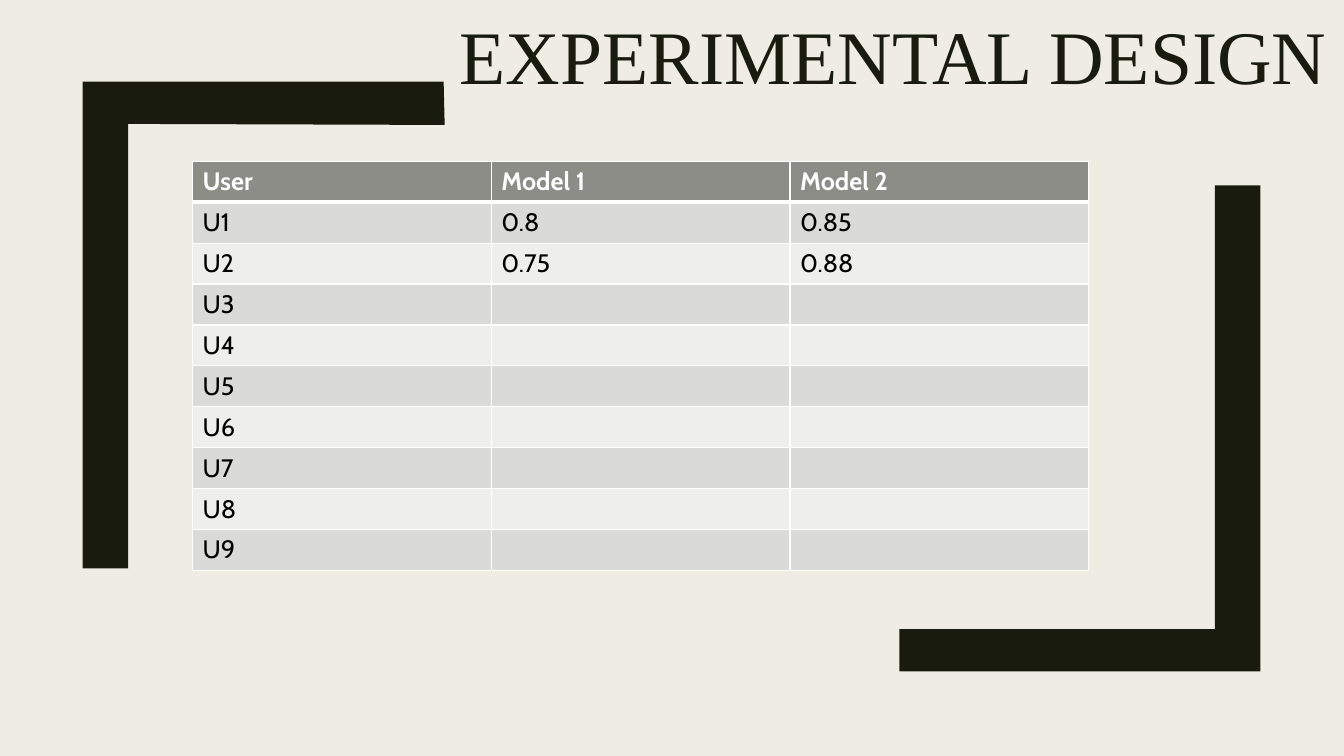
from lxml.etree import SubElement
from pptx import Presentation
from pptx.dml.color import RGBColor
from pptx.enum.text import MSO_ANCHOR, MSO_AUTO_SIZE, PP_ALIGN
from pptx.oxml.ns import qn
from pptx.util import Inches, Pt

COLORS = {
    "background": "EFEDE3",
    "dark": "191B0E",
    "header": "8C8D86",
    "odd_row": "DADBD9",
    "even_row": "EEEEED",
    "white": "FFFFFF",
    "black": "000000",
}


def write_text(text_frame, text, size=18, font="Cabin", color="black",
               bold=False, align=PP_ALIGN.LEFT, line_spacing=None):
    """Put one formatted paragraph into a text frame."""
    paragraph = text_frame.paragraphs[0]
    paragraph.alignment = align
    paragraph.line_spacing = line_spacing
    run = paragraph.add_run()
    run.text = text
    run.font.size = Pt(size)
    run.font.name = font
    run.font.bold = bold
    run.font.color.rgb = RGBColor.from_string(COLORS[color])


def add_border(cell, side, width):
    """Draw a white border on one side (L, R, T or B) of a table cell."""
    properties = cell._tc.get_or_add_tcPr()
    line = SubElement(properties, qn(f"a:ln{side}"), w=str(Pt(width)))
    fill = SubElement(line, qn("a:solidFill"))
    SubElement(fill, qn("a:srgbClr"), val=COLORS["white"])


presentation = Presentation()
presentation.slide_width = Inches(13.33)
presentation.slide_height = Inches(7.5)
slide = presentation.slides.add_slide(presentation.slide_layouts[5])
slide.background.fill.solid()
slide.background.fill.fore_color.rgb = RGBColor.from_string(COLORS["background"])

# Corner brackets
right_bracket = [(12.05, 1.84), (12.5, 1.84), (12.5, 6.66),
                 (8.92, 6.66), (8.92, 6.24), (12.05, 6.24)]
left_bracket = [(1.27, 5.64), (0.82, 5.64), (0.82, 0.81),
                (4.4, 0.81), (4.41, 1.24), (1.27, 1.23)]
for points in (right_bracket, left_bracket):
    corners = [(Inches(x), Inches(y)) for x, y in points]
    builder = slide.shapes.build_freeform(*corners[0])
    builder.add_line_segments(corners[1:], close=True)
    bracket = builder.convert_to_shape()
    bracket.shadow.inherit = False
    bracket.fill.solid()
    bracket.fill.fore_color.rgb = RGBColor.from_string(COLORS["dark"])
    bracket.line.fill.background()

# Title
title = slide.shapes.title
title.left, title.top = Inches(4.39), Inches(-0.68)
title.width, title.height = Inches(8.94), Inches(1.73)
title.text_frame.word_wrap = True
title.text_frame.auto_size = MSO_AUTO_SIZE.NONE
title.text_frame.vertical_anchor = MSO_ANCHOR.BOTTOM
write_text(title.text_frame, "EXPERIMENTAL DESIGN", size=54, font="Times New Roman",
           color="dark", align=PP_ALIGN.CENTER, line_spacing=0.89)

# Score table
scores = {"U1": ("0.8", "0.85"), "U2": ("0.75", "0.88")}
users = [f"U{number}" for number in range(1, 10)]
rows = [("User", "Model 1", "Model 2")]
rows += [(user, *scores.get(user, ("", ""))) for user in users]

table = slide.shapes.add_table(len(rows), len(rows[0]), Inches(1.91), Inches(1.6),
                               Inches(8.89), Inches(4.06)).table
for row_index, row in enumerate(rows):
    is_header = row_index == 0
    row_fill = "header" if is_header else "odd_row" if row_index % 2 else "even_row"
    for column_index, text in enumerate(row):
        cell = table.cell(row_index, column_index)
        for side in "LRTB":
            thick = (is_header and side == "B") or (row_index == 1 and side == "T")
            add_border(cell, side, 3 if thick else 1)
        cell.fill.solid()
        cell.fill.fore_color.rgb = RGBColor.from_string(COLORS[row_fill])
        if text:
            write_text(cell.text_frame, text, bold=is_header,
                       color="white" if is_header else "black")

presentation.save("out.pptx")
